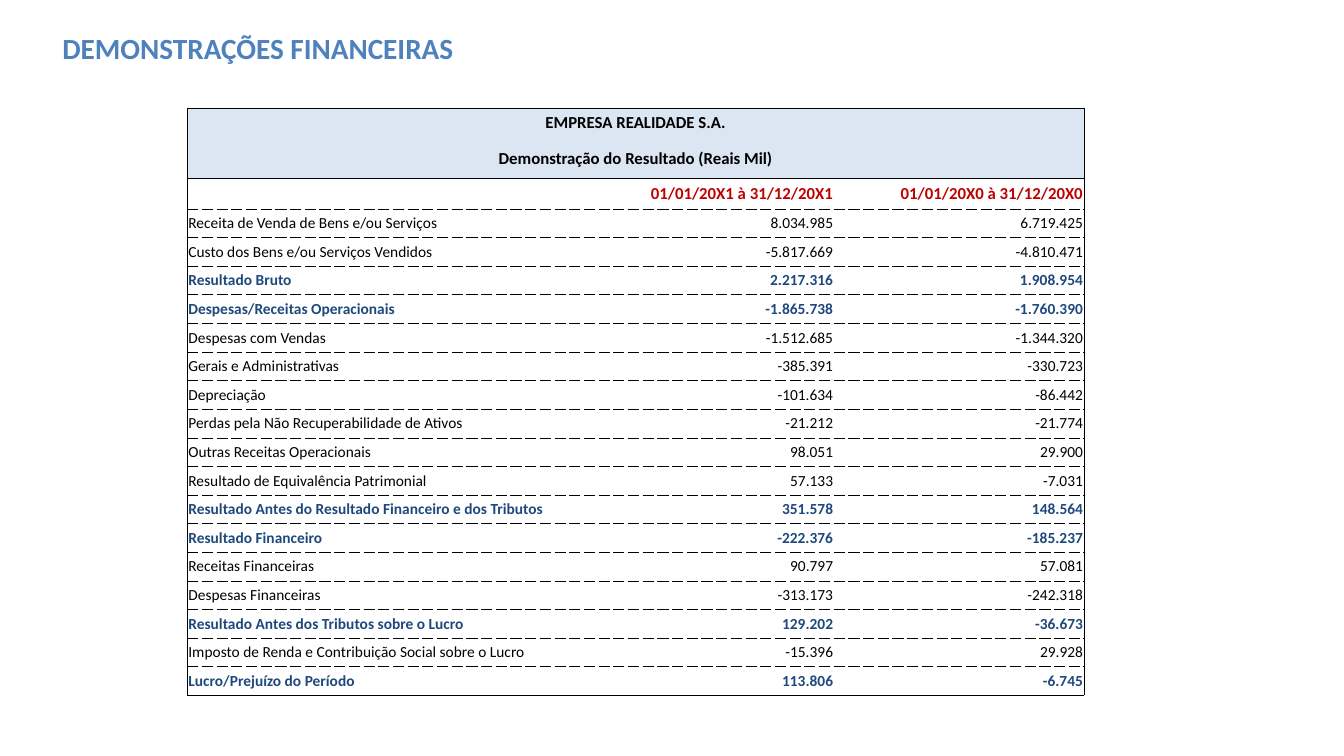
from lxml import etree
from pptx import Presentation
from pptx.dml.color import RGBColor
from pptx.enum.text import MSO_ANCHOR, PP_ALIGN
from pptx.oxml.ns import qn
from pptx.util import Inches, Pt

LEFT, CENTER, RIGHT = PP_ALIGN.LEFT, PP_ALIGN.CENTER, PP_ALIGN.RIGHT
MIDDLE = MSO_ANCHOR.MIDDLE
NO_STYLE = "{2D5ABB26-0587-4C30-8999-92F81FD0307C}"

THEME = {
    "font": "Calibri",
    "title": "4F81BD",
    "text": "000000",
    "period": "C00000",
    "total": "1F497D",
    "band": "DCE6F2",
    "border": "000000",
    "title_size": 20.9,
    "head_size": 12,
    "body_size": 11,
    "thick": 0.45,
    "thin": 0.23,
}

HEADINGS = ["EMPRESA REALIDADE S.A.", "Demonstração do Resultado (Reais Mil)"]
PERIODS = ["", "01/01/20X1 à 31/12/20X1", "01/01/20X0 à 31/12/20X0"]
ACCOUNTS = [
    ("Receita de Venda de Bens e/ou Serviços", "8.034.985", "6.719.425"),
    ("Custo dos Bens e/ou Serviços Vendidos", "-5.817.669", "-4.810.471"),
    ("Resultado Bruto", "2.217.316", "1.908.954"),
    ("Despesas/Receitas Operacionais", "-1.865.738", "-1.760.390"),
    ("Despesas com Vendas", "-1.512.685", "-1.344.320"),
    ("Gerais e Administrativas", "-385.391", "-330.723"),
    ("Depreciação", "-101.634", "-86.442"),
    ("Perdas pela Não Recuperabilidade de Ativos", "-21.212", "-21.774"),
    ("Outras Receitas Operacionais", "98.051", "29.900"),
    ("Resultado de Equivalência Patrimonial", "57.133", "-7.031"),
    ("Resultado Antes do Resultado Financeiro e dos Tributos", "351.578", "148.564"),
    ("Resultado Financeiro", "-222.376", "-185.237"),
    ("Receitas Financeiras", "90.797", "57.081"),
    ("Despesas Financeiras", "-313.173", "-242.318"),
    ("Resultado Antes dos Tributos sobre o Lucro", "129.202", "-36.673"),
    ("Imposto de Renda e Contribuição Social sobre o Lucro", "-15.396", "29.928"),
    ("Lucro/Prejuízo do Período", "113.806", "-6.745"),
]
TOTALS = {
    "Resultado Bruto",
    "Despesas/Receitas Operacionais",
    "Resultado Antes do Resultado Financeiro e dos Tributos",
    "Resultado Financeiro",
    "Resultado Antes dos Tributos sobre o Lucro",
    "Lucro/Prejuízo do Período",
}
COL_WIDTHS = [3.94, 2.48, 2.48]
ROW_HEIGHTS = [0.3, 0.4, 0.3] + [0.28] * len(ACCOUNTS)


def write(p, text, size, color, bold, align):
    p.alignment = align
    if not text:
        etree.SubElement(p._p, qn("a:endParaRPr"), sz=str(size * 100))
        return
    r = p.add_run()
    r.text = text
    r.font.name = THEME["font"]
    r.font.size = Pt(size)
    r.font.bold = bold
    r.font.color.rgb = RGBColor.from_string(color)


def set_borders(cell, borders):
    tcPr = cell._tc.get_or_add_tcPr()
    for i, side in enumerate(s for s in "LRTB" if s in borders):
        width, dash = borders[side]
        ln = etree.Element(qn(f"a:ln{side}"), w=str(Pt(width)))
        fill = etree.SubElement(ln, qn("a:solidFill"))
        etree.SubElement(fill, qn("a:srgbClr"), val=THEME["border"])
        etree.SubElement(ln, qn("a:prstDash"), val=dash)
        tcPr.insert(i, ln)


prs = Presentation()
prs.slide_width, prs.slide_height = Inches(13.34), Inches(7.5)
s = prs.slides.add_slide(prs.slide_layouts[6])

title = s.shapes.add_textbox(Inches(0.52), Inches(0.24), Inches(9.1), Inches(0.47))
tf = title.text_frame
tf.word_wrap = True
tf.vertical_anchor = MIDDLE
write(tf.paragraphs[0], "DEMONSTRAÇÕES FINANCEIRAS", THEME["title_size"], THEME["title"], True, LEFT)

rows = [(h, "", "") for h in HEADINGS] + [PERIODS] + ACCOUNTS
frame = s.shapes.add_table(
    len(rows), len(COL_WIDTHS), Inches(1.86), Inches(1.07),
    Inches(sum(COL_WIDTHS)), Inches(sum(ROW_HEIGHTS)),
)
table = frame.table
table.first_row = table.horz_banding = False
table._tbl.tblPr.find(qn("a:tableStyleId")).text = NO_STYLE
for column, width in zip(table.columns, COL_WIDTHS):
    column.width = Inches(width)
for row, height in zip(table.rows, ROW_HEIGHTS):
    row.height = Inches(height)

thick, thin = (THEME["thick"], "solid"), (THEME["thin"], "solid")
dashed = (THEME["thin"], "dash")
period_row, last_row, last_col = len(HEADINGS), len(rows) - 1, len(COL_WIDTHS) - 1

for i, values in enumerate(rows):
    heading = i < period_row
    if heading:
        size, color, bold = THEME["head_size"], THEME["text"], True
        top, bottom, side = (thick if i == 0 else None), (thick if i == period_row - 1 else None), thick
    elif i == period_row:
        size, color, bold = THEME["head_size"], THEME["period"], True
        top, bottom, side = thick, dashed, thin
    else:
        bold = values[0] in TOTALS
        size, color = THEME["body_size"], THEME["total" if bold else "text"]
        top, bottom, side = dashed, (thin if i == last_row else dashed), thin

    for j, value in enumerate(values):
        cell = table.cell(i, j)
        cell.vertical_anchor = MIDDLE
        cell.margin_left = cell.margin_right = Inches(0.01)
        cell.margin_top = cell.margin_bottom = Inches(0.05)
        if heading:
            cell.fill.solid()
            cell.fill.fore_color.rgb = RGBColor.from_string(THEME["band"])
        else:
            cell.fill.background()
        borders = {
            "L": side if j == 0 else None,
            "R": side if j == last_col or heading and j == 0 else None,
            "T": top,
            "B": bottom,
        }
        set_borders(cell, {k: v for k, v in borders.items() if v})
        align = CENTER if heading else LEFT if j == 0 else RIGHT
        write(cell.text_frame.paragraphs[0], value, size, color, bold, align)
    if heading:
        table.cell(i, 0).merge(table.cell(i, last_col))

prs.save("out.pptx")
